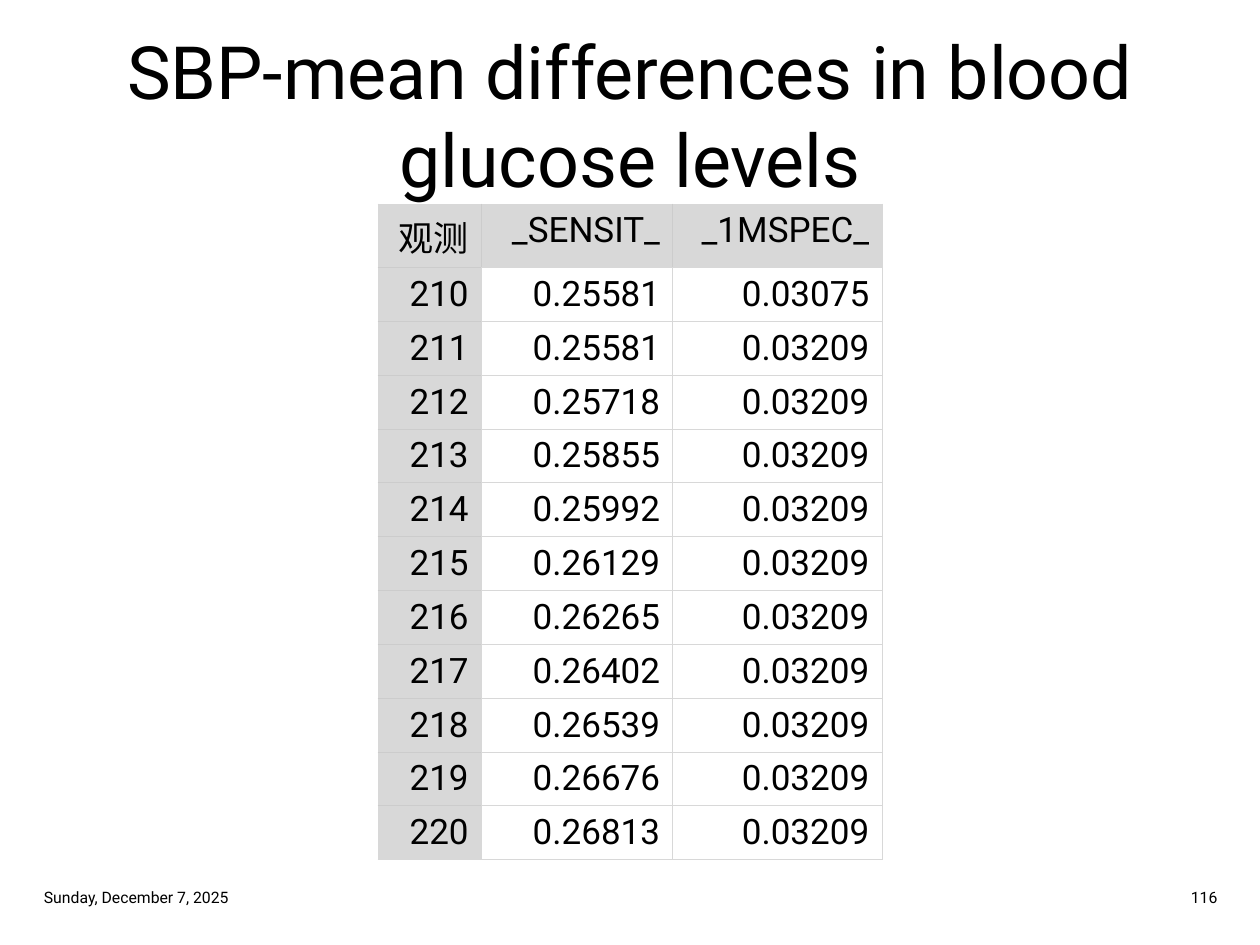
"""Build a slide with a table of sensitivity against one minus specificity."""
from dataclasses import dataclass

from lxml.etree import SubElement
from pptx import Presentation
from pptx.dml.color import RGBColor
from pptx.enum.text import MSO_ANCHOR, PP_ALIGN
from pptx.oxml.ns import qn
from pptx.util import Inches, Pt

WIDE, HIGH = Inches(10), Inches(7.5)
FONT = "Roboto"
COLORS = {"ink": "000000", "head": "D8D8D8", "edge": "D8D8D8", "inner": "CCCCCC"}
HEADS = ("观测", "_SENSIT_", "_1MSPEC_")
FIRST = 210
SENSIT = ("0.25581", "0.25581", "0.25718", "0.25855", "0.25992", "0.26129",
          "0.26265", "0.26402", "0.26539", "0.26676", "0.26813")
SPEC = ("0.03075",) + ("0.03209",) * (len(SENSIT) - 1)
SHARES = (0.205, 0.38, 0.415)


@dataclass(frozen=True)
class Area:
    """A box given as shares of the slide's width and height."""
    left: float
    top: float
    width: float
    height: float

    def spans(self) -> tuple[int, int, int, int]:
        return (int(self.left * WIDE), int(self.top * HIGH),
                int(self.width * WIDE), int(self.height * HIGH))


@dataclass(frozen=True)
class Note:
    """A line of small text at the foot of the slide."""
    text: str
    area: Area
    align: PP_ALIGN


TITLE = Area(0.025, 0.033, 0.95, 0.175)
GRID = Area(0.3, 0.216, 0.4, 0.667)
NOTES = (
    Note("Sunday, December 7, 2025", Area(0.025, 0.932, 0.238, 0.035), PP_ALIGN.LEFT),
    Note("116", Area(0.738, 0.932, 0.238, 0.035), PP_ALIGN.RIGHT),
)


def write(frame, lines: tuple[str, ...], size: int, align: PP_ALIGN) -> None:
    """Write the lines as runs of one paragraph."""
    para = frame.paragraphs[0]
    para.alignment = align
    for pos, line in enumerate(lines):
        if pos:
            para.add_line_break()
        run = para.add_run()
        run.text = line
        run.font.name = FONT
        run.font.size = Pt(size)
        run.font.color.rgb = RGBColor.from_string(COLORS["ink"])


def place(shape, area: Area) -> None:
    """Move a shape to an area and centre its text vertically."""
    shape.left, shape.top, shape.width, shape.height = area.spans()
    shape.text_frame.word_wrap = True
    shape.text_frame.vertical_anchor = MSO_ANCHOR.MIDDLE


def edge(cell, side: str, color: str) -> None:
    """Draw one border of a cell."""
    line = SubElement(cell._tc.get_or_add_tcPr(), qn(f"a:ln{side}"), w=str(Pt(0.5)))
    fill = SubElement(line, qn("a:solidFill"))
    SubElement(fill, qn("a:srgbClr"), val=color)


def draw_grid(slide, rows: list[tuple[str, ...]]) -> None:
    """Draw the table with a shaded first row and first column."""
    last, end = len(rows) - 1, len(HEADS) - 1
    table = slide.shapes.add_table(len(rows), len(HEADS), *GRID.spans()).table
    table.first_row = table.horz_banding = False
    for col, share in zip(table.columns, SHARES):
        col.width = int(share * GRID.width * WIDE)
    for r, row in enumerate(rows):
        for c, text in enumerate(row):
            cell = table.cell(r, c)
            write(cell.text_frame, (text,), 20, PP_ALIGN.RIGHT)
            head = r == 0 or c == 0
            outer = {"L": c == 0, "R": c == end, "T": r == 0, "B": r == last}
            for side, rim in outer.items():
                edge(cell, side, COLORS["inner" if head and not rim else "edge"])
            if head:
                cell.fill.solid()
                cell.fill.fore_color.rgb = RGBColor.from_string(COLORS["head"])
            else:
                cell.fill.background()


def main() -> None:
    """Build and save the slide."""
    deck = Presentation()
    deck.slide_width, deck.slide_height = WIDE, HIGH
    slide = deck.slides.add_slide(deck.slide_layouts[5])
    title = slide.shapes.title
    place(title, TITLE)
    write(title.text_frame, ("SBP-mean differences in blood", "glucose levels"),
          42, PP_ALIGN.CENTER)
    data = [(str(FIRST + i), *pair) for i, pair in enumerate(zip(SENSIT, SPEC))]
    draw_grid(slide, [HEADS, *data])
    for note in NOTES:
        box = slide.shapes.add_textbox(*note.area.spans())
        place(box, note.area)
        write(box.text_frame, (note.text,), 9, note.align)
    deck.save("out.pptx")


if __name__ == "__main__":
    main()
